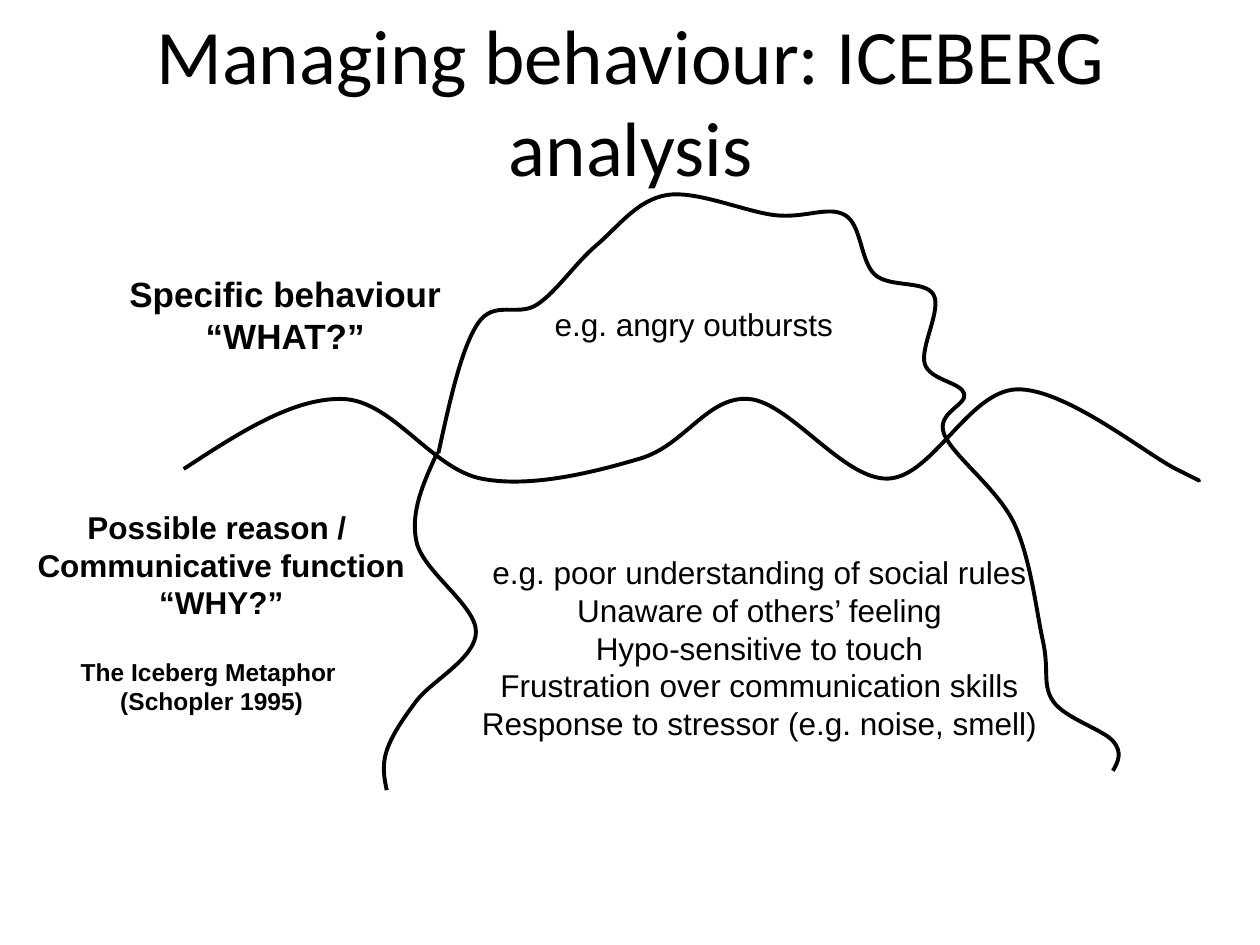
from itertools import pairwise

from lxml.etree import SubElement
from pptx import Presentation
from pptx.dml.color import RGBColor
from pptx.enum.shapes import MSO_SHAPE as Shape
from pptx.enum.text import MSO_ANCHOR as Anchor, PP_ALIGN as Align
from pptx.oxml.ns import qn
from pptx.util import Pt

BLACK = RGBColor(0x00, 0x00, 0x00)
WHITE = RGBColor(0xFF, 0xFF, 0xFF)

# Points that each curve passes through
WATERLINE = [(105, 268), (196, 228), (275, 273.5), (366, 262), (428, 228),
             (507.5, 273.5), (581, 222.5), (672, 268), (683, 273.5)]
TIP_AND_RIGHT_SIDE = [(250.5, 259), (273, 185), (307, 174), (341, 140), (381, 111.5),
                      (443, 123), (483, 123), (500, 157), (533.5, 168.5), (528.5, 208),
                      (551, 225), (539.5, 248), (579.5, 299), (596, 366.5), (602, 401),
                      (636, 423.5), (636, 440.5)]
LEFT_SIDE = [(250, 258.5), (238, 309.5), (272, 361), (238, 400.5), (221, 429), (221, 451.5)]


def curve_controls(knots):
    """Return the knots and the Bezier control points of a smooth curve."""
    def shifted(index, factor):
        before, after = knots[index - 1], knots[index + 1]
        return tuple(k + factor * (a - b) / 6
                     for k, b, a in zip(knots[index], before, after))

    def midpoint(first, second):
        return tuple((a + b) / 2 for a, b in zip(first, second))

    last = len(knots) - 1
    points = [knots[0]]
    for start, end in pairwise(range(len(knots))):
        leaving = shifted(start, 1) if start > 0 else None
        arriving = shifted(end, -1) if end < last else midpoint(leaving, knots[end])
        points += [leaving or midpoint(knots[start], arriving), arriving, knots[end]]
    return points


class IcebergSlide:
    label_font = "Arial"
    title_font = "Calibri"
    line_width = Pt(2.25)

    def __init__(self, presentation):
        self.slide = presentation.slides.add_slide(presentation.slide_layouts[5])
        fill = self.slide.background.fill
        fill.solid()
        fill.fore_color.rgb = WHITE

    def format_text(self, text_frame, font_name, size, bold):
        text_frame.vertical_anchor = Anchor.MIDDLE
        for paragraph in text_frame.paragraphs:
            paragraph.alignment = Align.CENTER
            for run in paragraph.runs:
                run.font.name = font_name
                run.font.size = Pt(size)
                run.font.bold = bold
                run.font.color.rgb = BLACK

    def title(self, text, left, top, width, height):
        shape = self.slide.shapes.title
        shape.left, shape.top = Pt(left), Pt(top)
        shape.width, shape.height = Pt(width), Pt(height)
        shape.text_frame.text = text
        self.format_text(shape.text_frame, self.title_font, 44, False)

    def label(self, lines, left, top, width, height, size=18, bold=False):
        # An unfilled rectangle lets long lines run past its sides unwrapped
        shape = self.slide.shapes.add_shape(Shape.RECTANGLE, Pt(left), Pt(top),
                                            Pt(width), Pt(height))
        shape.shadow.inherit = False
        shape.fill.background()
        shape.line.fill.background()
        shape.text_frame.word_wrap = False
        shape.text_frame.text = "\n".join(lines)
        self.format_text(shape.text_frame, self.label_font, size, bold)

    def curve(self, knots):
        points = [(Pt(x), Pt(y)) for x, y in curve_controls(knots)]
        builder = self.slide.shapes.build_freeform(*points[0])
        builder.add_line_segments(points[1:], close=False)
        shape = builder.convert_to_shape()
        shape.shadow.inherit = False
        shape.fill.background()
        shape.line.color.rgb = BLACK
        shape.line.width = self.line_width
        # Turn every three straight segments into one Bezier segment
        outline = next(shape.element.iter(qn("a:path")))
        segments = outline.findall(qn("a:lnTo"))
        for first in range(0, len(segments), 3):
            bezier = SubElement(outline, qn("a:cubicBezTo"))
            for segment in segments[first:first + 3]:
                bezier.append(segment[0])
                outline.remove(segment)


def main():
    presentation = Presentation()
    presentation.slide_width, presentation.slide_height = Pt(720), Pt(540)
    iceberg = IcebergSlide(presentation)

    iceberg.title("Managing behaviour: ICEBERG analysis", 59.5, 12, 602, 90)

    # Water and iceberg outline
    for knots in (WATERLINE, TIP_AND_RIGHT_SIDE, LEFT_SIDE):
        iceberg.curve(knots)

    # Headings beside the iceberg
    iceberg.label(["Specific behaviour", "“WHAT?”"], 81, 148, 164, 63, size=20, bold=True)
    iceberg.label(["Possible reason / ", "Communicative function", "“WHY?”"],
                  21.5, 274.5, 210, 96, bold=True)
    iceberg.label(["The Iceberg Metaphor ", "(Schopler 1995)"],
                  13.5, 372, 215, 40, size=14, bold=True)

    # Examples above and below the water
    iceberg.label(["e.g. angry outbursts"], 320, 134, 153, 102)
    iceberg.label(["e.g. poor understanding of social rules",
                   "Unaware of others’ feeling",
                   "Hypo-sensitive to touch",
                   "Frustration over communication skills",
                   "Response to stressor (e.g. noise, smell)"], 278, 296, 312, 148)

    presentation.save("out.pptx")


if __name__ == "__main__":
    main()
